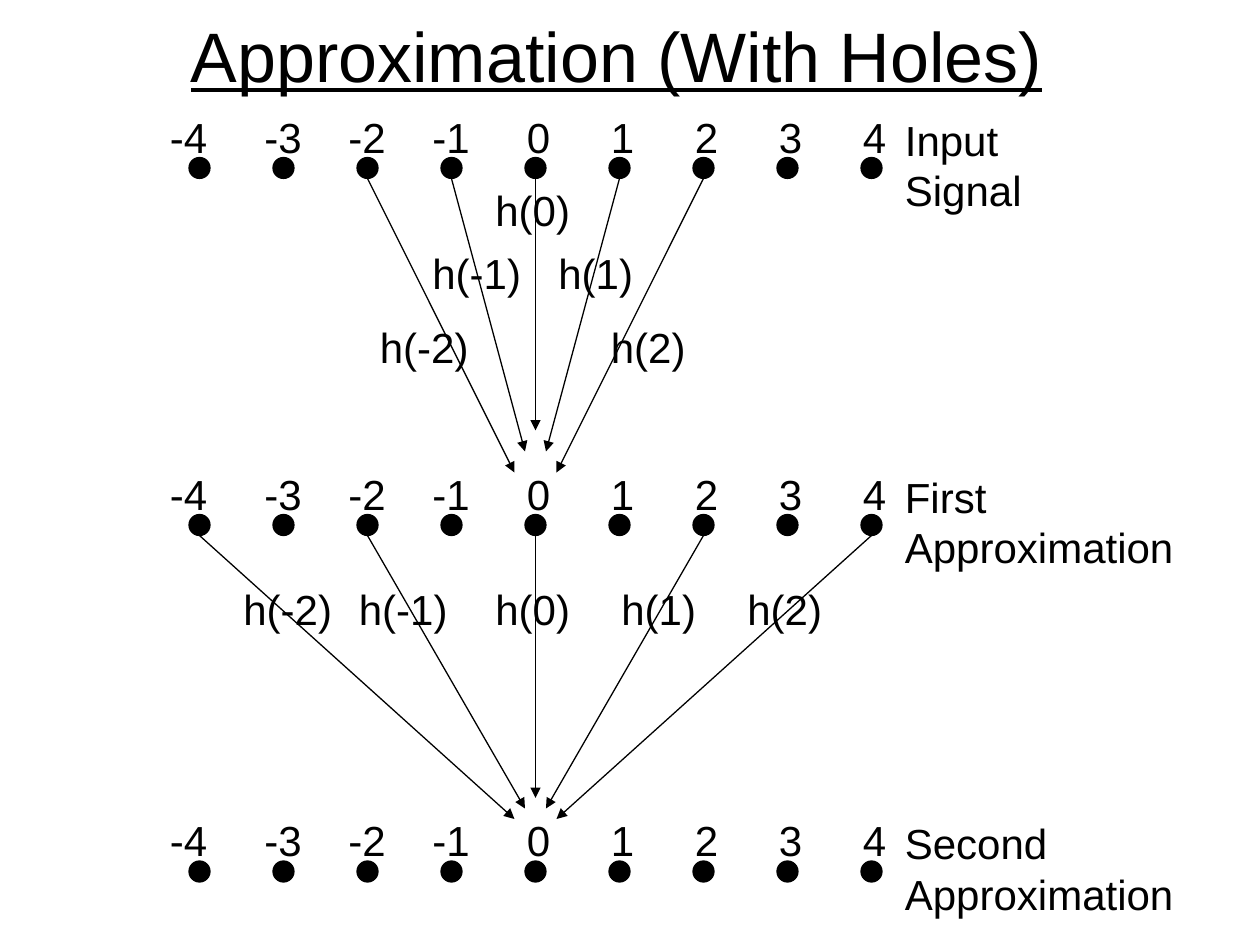
from lxml.etree import SubElement
from pptx import Presentation
from pptx.dml.color import RGBColor
from pptx.enum.shapes import MSO_CONNECTOR as Connector, MSO_SHAPE as Shape
from pptx.enum.text import MSO_AUTO_SIZE as AutoSize
from pptx.oxml.ns import qn
from pptx.util import Emu, Pt

SCALE = 914400 // 120
BLACK = RGBColor(0x00, 0x00, 0x00)
DOT, PITCH, REACH = 20, 80, 4
ROW_LEFT = 180
AXIS = ROW_LEFT + REACH * PITCH + DOT // 2
INPUT_TOP, FIRST_TOP, SECOND_TOP = 150, 490, 820


def px(length):
    """Turn a length in px into EMU."""
    return Emu(length * SCALE)


def add_text(slide, text, left, top, width, height=60, size=24, underline=False):
    """Place an unwrapped text box, with one paragraph for each line of text."""
    box = slide.shapes.add_textbox(px(left), px(top), px(width), px(height))
    frame = box.text_frame
    frame.word_wrap = False
    frame.auto_size = AutoSize.SHAPE_TO_FIT_TEXT
    frame.text = text
    for paragraph in frame.paragraphs:
        font = paragraph.runs[0].font
        font.name = "Arial"
        font.size = Pt(size)
        font.underline = underline
        font.color.rgb = BLACK


def add_dot(slide, left, top):
    """Place one black sample dot."""
    shape = slide.shapes.add_shape(Shape.OVAL, px(left), px(top), px(DOT), px(DOT))
    shape.shadow.inherit = False
    shape.fill.solid()
    shape.fill.fore_color.rgb = BLACK
    shape.line.color.rgb = BLACK
    shape.line.width = Pt(0.75)


def add_arrow(slide, start, end):
    """Draw a thin black arrow between two points."""
    points = [px(value) for value in (*start, *end)]
    connector = slide.shapes.add_connector(Connector.STRAIGHT, *points)
    connector.line.color.rgb = BLACK
    connector.line.width = Pt(0.75)
    line = connector.line._get_or_add_ln()
    SubElement(line, qn("a:tailEnd"), type="triangle")
    SubElement(connector._element.spPr, qn("a:effectLst"))


def add_sample_row(slide, left, top, caption, caption_width):
    """Place nine numbered dots and the caption at their right."""
    for index in range(-REACH, REACH + 1):
        dot_left = left + (index + REACH) * PITCH
        add_dot(slide, dot_left, top)
        outdent = 30 if index == -REACH else 20 if index < 0 else 10
        width = 62 if index < 0 else 48
        add_text(slide, str(index), dot_left - outdent, top - 50, width)
    add_text(slide, caption, left + 670, top - 47, caption_width, height=108)


def add_filter_fan(slide, axis, top, tip, stride, rise, labels):
    """Draw five arrows converging on the axis, and their filter weights."""
    for tap, (label_x, label_y) in zip(range(-2, 3), labels):
        start = (axis + tap * stride * PITCH, top)
        end = (axis + tap * 10, tip + abs(tap) * rise)
        add_arrow(slide, start, end)
        width = 112 if tap < 0 else 98
        add_text(slide, f"h({tap})", axis + label_x, top + label_y, width)


def main():
    """Build the slide and save it."""
    presentation = Presentation()
    presentation.slide_width = px(1200)
    presentation.slide_height = px(900)
    slide = presentation.slides.add_slide(presentation.slide_layouts[6])

    add_text(slide, "Approximation (With Holes)", 170, 6, 838,
             height=92, size=40, underline=True)
    add_sample_row(slide, ROW_LEFT, INPUT_TOP, "Input\nSignal", 138)
    add_sample_row(slide, ROW_LEFT, FIRST_TOP, "First\nApproximation", 283)
    add_sample_row(slide, ROW_LEFT, SECOND_TOP, "Second\nApproximation", 283)

    stepped = [(-160, 130), (-110, 60), (-50, 0), (10, 60), (60, 130)]
    level = [(x, 40) for x in (-290, -180, -50, 70, 190)]
    add_filter_fan(slide, AXIS, INPUT_TOP + DOT, FIRST_TOP - 80, 1, 20, stepped)
    add_filter_fan(slide, AXIS, FIRST_TOP + DOT, SECOND_TOP - 60, 2, 10, level)

    presentation.save("out.pptx")


if __name__ == "__main__":
    main()
